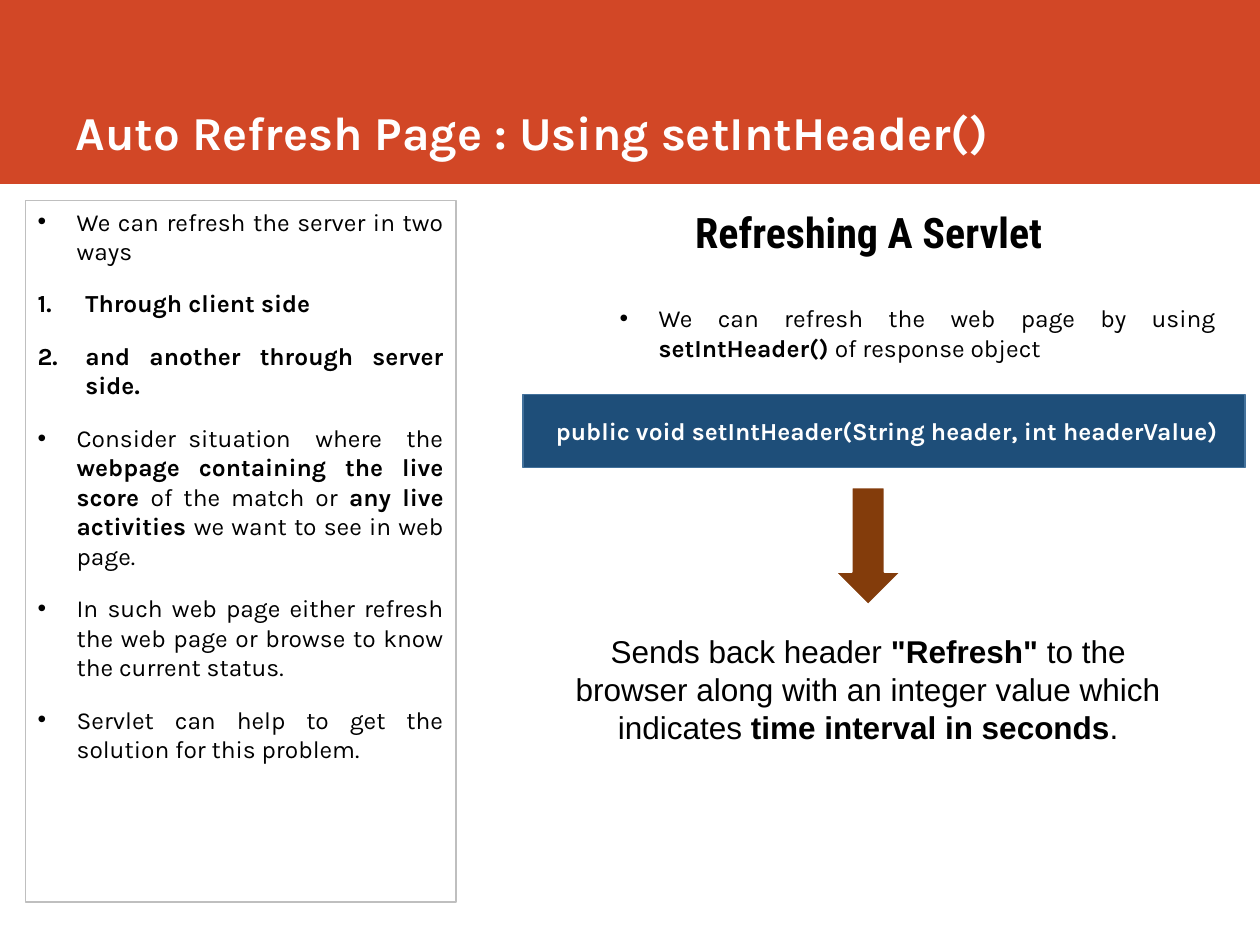
from lxml import etree
from pptx import Presentation
from pptx import util as u
from pptx.dml import color
from pptx.enum import shapes, text
from pptx.oxml import ns

BODY_FONT = "Karla"
BLACK, WHITE = "000000", "FFFFFF"
CENTER, JUSTIFY, LEFT = (text.PP_ALIGN.CENTER, text.PP_ALIGN.JUSTIFY,
                         text.PP_ALIGN.LEFT)


def rgb(value):
    return color.RGBColor.from_string(value)


def inches(box):
    return [u.Inches(length) for length in box]


def set_bullet(paragraph, bullet, indent):
    """Give a paragraph a hanging indent and a bullet or automatic number."""
    properties = paragraph._p.get_or_add_pPr()
    properties.set("marL", str(u.Inches(indent)))
    properties.set("indent", str(-u.Inches(indent)))
    if bullet == "number":
        etree.SubElement(properties, ns.qn("a:buFont"), typeface="+mj-lt")
        etree.SubElement(properties, ns.qn("a:buAutoNum"), type="arabicPeriod")
    else:
        etree.SubElement(properties, ns.qn("a:buFont"), typeface="Arial")
        etree.SubElement(properties, ns.qn("a:buChar"), char=bullet)


def write(paragraph, runs, *, size=14, font=BODY_FONT, fill=BLACK, align=LEFT,
          before=0, bullet=None, indent=0.31):
    """Write (wording, bold) runs into a paragraph."""
    paragraph.alignment = align
    paragraph.space_before = u.Pt(before)
    if bullet:
        set_bullet(paragraph, bullet, indent)
    for wording, bold in runs:
        run = paragraph.add_run()
        run.text = wording
        run.font.name, run.font.size, run.font.bold = font, u.Pt(size), bold
        run.font.color.rgb = rgb(fill)


def add_text_box(slide, box):
    text_box = slide.shapes.add_textbox(*inches(box))
    text_box.text_frame.word_wrap = True
    return text_box


def add_filled_shape(slide, kind, box, fill, line=None):
    shape = slide.shapes.add_shape(kind, *inches(box))
    shape.shadow.inherit = False
    shape.fill.solid()
    shape.fill.fore_color.rgb = rgb(fill)
    if line:
        shape.line.color.rgb = rgb(line)
        shape.line.width = u.Pt(1)
    else:
        shape.line.fill.background()
    return shape


def build_header(slide, box):
    left, top, width, height = box
    title = slide.shapes.title
    banner = add_filled_shape(slide, shapes.MSO_SHAPE.RECTANGLE, box, "D24726")
    title.element.addprevious(banner.element)  # banner goes behind the title
    title.left, title.top, title.width, title.height = inches(
        (left + 0.5, top, width - 1.18, height - 0.14))
    frame = title.text_frame
    frame.auto_size = text.MSO_AUTO_SIZE.NONE
    frame.vertical_anchor = text.MSO_ANCHOR.BOTTOM
    write(frame.paragraphs[0],
          [("Auto Refresh Page : Using setIntHeader()", True)],
          size=27, fill=WHITE)


def build_points(slide, box):
    points = [
        ("•", [("We can refresh the server in two ways", False)]),
        ("number", [("Through client side", True)]),
        ("number", [("and another through server side.", True)]),
        ("•", [("Consider situation  where  the ", False),
               ("webpage containing the live score ", True),
               ("of the match or ", False),
               ("any live activities ", True),
               ("we want to see in web page.", False)]),
        ("•", [("In such web page either refresh the web page or browse to "
                "know the current status.", False)]),
        ("•", [("Servlet can help to get the solution for this problem.",
                False)]),
    ]
    panel = add_text_box(slide, box)
    panel.line.color.rgb = rgb("BFBFBF")
    panel.line.width = u.Pt(0.75)
    frame = panel.text_frame
    for index, (bullet, runs) in enumerate(points):
        paragraph = frame.add_paragraph() if index else frame.paragraphs[0]
        write(paragraph, runs, align=JUSTIFY, before=13.2 if index else 0,
              bullet=bullet, indent=0.38 if bullet == "number" else 0.31)


def build_explanation(slide, box):
    left, top, width, height = box

    # Heading and introduction
    heading = add_text_box(slide, (left + 0.61, top, 4.27, 0.5))
    write(heading.text_frame.paragraphs[0], [("Refreshing A Servlet", True)],
          size=24, font="Roboto Condensed", align=CENTER)
    introduction = add_text_box(slide, (left + 0.67, top + 0.77, 4.93, 2.16))
    write(introduction.text_frame.paragraphs[0],
          [("We can refresh the web page by using ", False),
           ("setIntHeader()", True), (" of response object", False)],
          align=JUSTIFY, bullet="•")

    # Method signature
    signature = add_filled_shape(slide, shapes.MSO_SHAPE.RECTANGLE,
                                 (left, top + 1.54, width, 0.58),
                                 "1E4E79", "42719B")
    signature.text_frame.word_wrap = True
    signature.text_frame.vertical_anchor = text.MSO_ANCHOR.MIDDLE
    write(signature.text_frame.paragraphs[0],
          [(" public void setIntHeader(String header, int headerValue)", True)],
          fill=WHITE, align=CENTER)

    # Arrow to the result
    add_filled_shape(slide, shapes.MSO_SHAPE.DOWN_ARROW,
                     (left + 2.48, top + 2.28, 0.52, 0.93), "833C0B", WHITE)
    result = add_text_box(slide, (left + 0.24, top + 3.38, 5, 1.01))
    write(result.text_frame.paragraphs[0],
          [("Sends back header ", False), ('"Refresh" ', True),
           ("to the browser along with an integer value which indicates ",
            False),
           ("time interval in seconds", True), (".", False)],
          size=18, font="Arial", align=CENTER)


def main():
    presentation = Presentation()
    presentation.slide_width = u.Inches(10)
    presentation.slide_height = u.Inches(7.5)
    slide = presentation.slides.add_slide(presentation.slide_layouts[5])
    build_header(slide, (0, 0, 10, 1.46))
    build_points(slide, (0.2, 1.59, 3.42, 5.57))
    build_explanation(slide, (4.15, 1.59, 5.73, 4.39))
    presentation.save("out.pptx")


if __name__ == "__main__":
    main()
